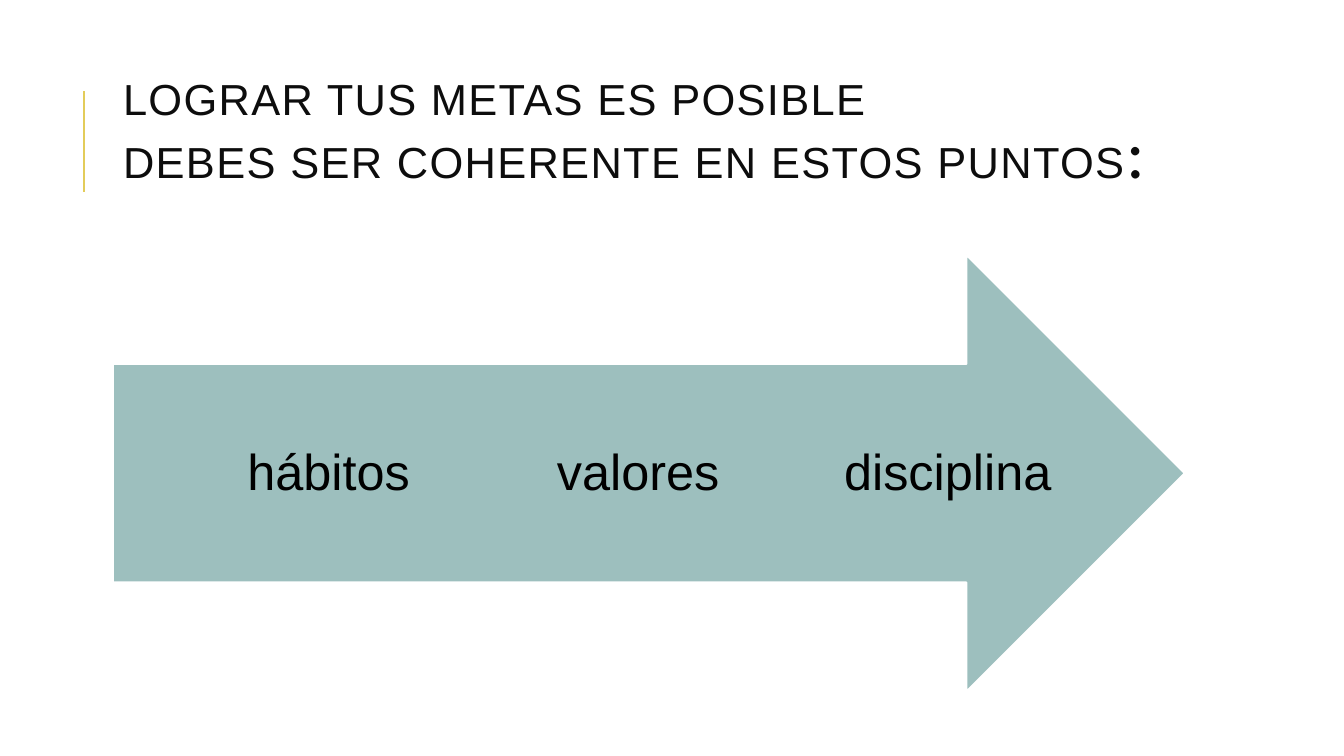
"""Build a slide with a right arrow holding three points of coherence."""
from dataclasses import dataclass

from lxml import etree
from pptx import Presentation
from pptx.dml.color import RGBColor
from pptx.enum.shapes import MSO_CONNECTOR, MSO_SHAPE
from pptx.enum.text import MSO_ANCHOR, MSO_AUTO_SIZE, PP_ALIGN
from pptx.oxml.ns import qn
from pptx.util import Emu, Pt

STRAIGHT = MSO_CONNECTOR.STRAIGHT
RIGHT_ARROW = MSO_SHAPE.RIGHT_ARROW
MIDDLE = MSO_ANCHOR.MIDDLE
NO_FIT = MSO_AUTO_SIZE.NONE
LEFT, CENTER = PP_ALIGN.LEFT, PP_ALIGN.CENTER
EMU_PER_PX = 9144
COLORS = {"accent": "E3CC5A", "title": "0D0D0D", "arrow": "9DBFBE",
          "edge": "FFFFFF", "label": "000000"}


@dataclass
class Area:
    left: int
    top: int
    width: int
    height: int

    def emu(self) -> list[Emu]:
        return [px(n) for n in (self.left, self.top, self.width, self.height)]


TITLE_AREA = Area(112, 54, 1063, 164)
ARROW_AREA = Area(112, 253, 1063, 433)
POINTS = ("hábitos", "valores", "disciplina")
POINT_LEFT, POINT_STEP = 198, 307


def px(length: int) -> Emu:
    return Emu(length * EMU_PER_PX)


def color(name: str) -> RGBColor:
    return RGBColor.from_string(COLORS[name])


def style_span(span, size: int, font: str, color_name: str) -> None:
    span.font.size = Pt(size)
    span.font.name = font
    span.font.color.rgb = color(color_name)


def add_title(page) -> None:
    title = page.shapes.title
    title.left, title.top, title.width, title.height = TITLE_AREA.emu()
    frame = title.text_frame
    frame.text = "LOGRAR TUS METAS ES POSIBLE\vDEBES SER COHERENTE EN ESTOS PUNTOS"
    frame.word_wrap = True
    frame.auto_size = NO_FIT
    frame.vertical_anchor = MIDDLE
    para = frame.paragraphs[0]
    para.alignment = LEFT
    para.line_spacing = 0.8
    for span in para.runs:
        style_span(span, 31, "Arial", "title")
    colon = para.add_run()
    colon.text = ":"
    style_span(colon, 50, "Calibri", "title")
    for span in para.runs:
        span.font._element.set("spc", "100")
    line_break = para._p.find(qn("a:br"))
    etree.SubElement(line_break, qn("a:rPr"), sz="3100")


def add_accent_line(page) -> None:
    line = page.shapes.add_connector(STRAIGHT, px(83), px(190), px(83), px(90))
    line.line.color.rgb = color("accent")
    line.line.width = Pt(1.5)
    etree.SubElement(line._element.spPr, qn("a:effectLst"))


def add_arrow(page) -> None:
    arrow = page.shapes.add_shape(RIGHT_ARROW, *ARROW_AREA.emu())
    arrow.shadow.inherit = False
    arrow.fill.solid()
    arrow.fill.fore_color.rgb = color("arrow")
    arrow.line.color.rgb = color("edge")
    arrow.line.width = Pt(1.25)


def add_point(page, text: str, area: Area) -> None:
    box = page.shapes.add_textbox(*area.emu())
    frame = box.text_frame
    frame.text = text
    frame.word_wrap = True
    frame.vertical_anchor = MIDDLE
    frame.margin_left = frame.margin_right = 0
    frame.margin_top = frame.margin_bottom = px(40)
    para = frame.paragraphs[0]
    para.alignment = CENTER
    para.line_spacing = 0.9
    style_span(para.runs[0], 36, "Arial", "label")


def main() -> None:
    deck = Presentation()
    deck.slide_width, deck.slide_height = px(1333), px(750)
    page = deck.slides.add_slide(deck.slide_layouts.get_by_name("Title Only"))
    add_accent_line(page)
    add_title(page)
    add_arrow(page)
    for index, text in enumerate(POINTS):
        add_point(page, text, Area(POINT_LEFT + index * POINT_STEP, 362, 256, 217))
    deck.save("out.pptx")


if __name__ == "__main__":
    main()
